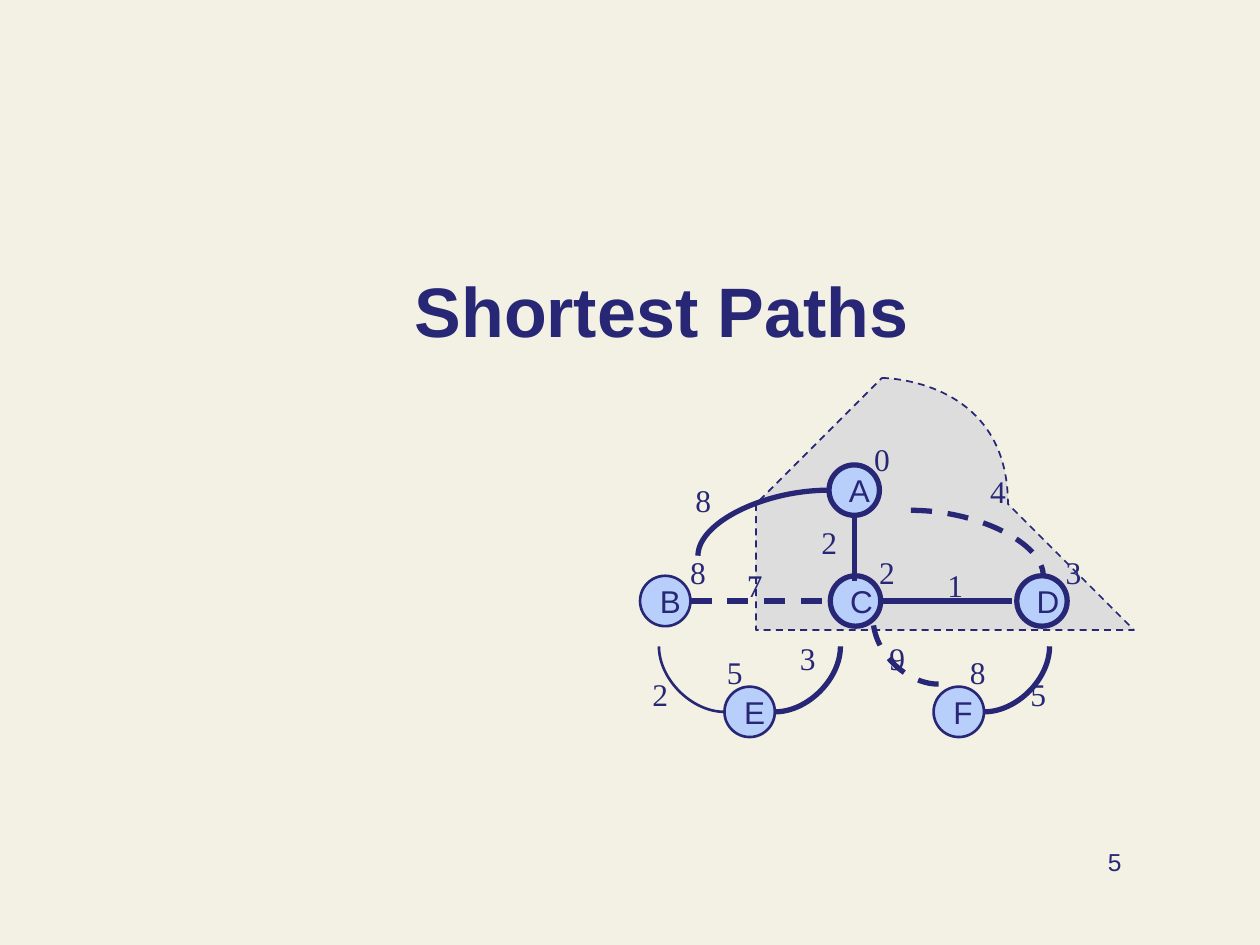
from lxml.etree import SubElement
from pptx import Presentation
from pptx.dml.color import RGBColor
from pptx.enum.dml import MSO_LINE
from pptx.enum.shapes import MSO_CONNECTOR, MSO_SHAPE
from pptx.enum.text import MSO_ANCHOR, PP_ALIGN
from pptx.oxml.ns import qn
from pptx.util import Inches, Pt

INK = "272776"
PAPER = "F3F1E4"
NODE_FILL = "B8CFFB"
CLOUD_FILL = "DDDDDD"
NODE_SIZE = 0.4
LABEL_WIDTH, LABEL_HEIGHT = 0.33, 0.4
THICK, THIN = 3, 1.5

CLOUD = [
    (7, 3.46),
    (7.3, 3.45), (7.88, 3.42), (8.16, 3.68),
    (8.44, 3.93), (8.79, 4.79), (8.68, 5.01),
    (8.56, 5.23), (7.81, 4.96), (7.47, 4.98),
    (7.13, 5), (6.84, 5.2), (6.66, 5.12),
    (6.47, 5.05), (6.4, 4.77), (6.34, 4.54),
    (6.29, 4.3), (6.22, 3.89), (6.33, 3.7),
    (6.44, 3.52), (6.7, 3.46), (7, 3.46),
]
NODES = [
    ("C", 6.59, 4.57, THICK),
    ("B", 5.08, 4.57, THIN),
    ("A", 6.58, 3.69, THICK),
    ("E", 5.75, 5.45, THIN),
    ("D", 8.07, 4.57, THICK),
    ("F", 7.41, 5.45, THIN),
]
CURVED_EDGES = [
    ((6.58, 3.89), (5.54, 4.41), THICK, False),
    ((5.75, 5.65), (5.23, 5.13), THIN, False),
    ((6.15, 5.65), (6.67, 5.13), THICK, False),
    ((7.81, 5.65), (8.33, 5.13), THICK, False),
    ((7.23, 4.05), (8.28, 4.57), THICK, True),
    ((7.45, 5.43), (6.93, 4.91), THICK, True),
]
STRAIGHT_EDGES = [
    ((6.78, 4.09), (6.78, 4.61), THICK, False),
    ((5.48, 4.77), (6.53, 4.77), THICK, True),
    ((6.99, 4.77), (8.03, 4.77), THICK, False),
]
DISTANCES = [
    ("0", 6.84, 3.44), ("3", 8.36, 4.34), ("2", 6.88, 4.34),
    ("8", 5.38, 4.34), ("5", 5.67, 5.13), ("8", 7.6, 5.13),
]
WEIGHTS = [
    ("4", 7.76, 3.7), ("8", 5.42, 3.77), ("7", 5.83, 4.44),
    ("1", 7.42, 4.44), ("2", 5.08, 5.31), ("5", 8.08, 5.31),
    ("2", 6.42, 4.1), ("3", 6.25, 5.02), ("9", 6.96, 5.02),
]


def color(value):
    return RGBColor.from_string(value)


def write_text(shape, text, size, font="Arial", align=PP_ALIGN.LEFT,
               anchor=MSO_ANCHOR.TOP, bold=False):
    frame = shape.text_frame
    frame.text = text
    frame.word_wrap = True
    frame.vertical_anchor = anchor
    para = frame.paragraphs[0]
    para.alignment = align
    span = para.runs[0]
    span.font.name = font
    span.font.size = Pt(size)
    span.font.bold = bold
    span.font.color.rgb = color(INK)


def style_line(line, width, dashed=False):
    line.color.rgb = color(INK)
    line.width = Pt(width)
    if dashed:
        line.dash_style = MSO_LINE.DASH


def style_shape(shape, fill, width, dashed=False):
    shape.shadow.inherit = False
    shape.fill.solid()
    shape.fill.fore_color.rgb = color(fill)
    style_line(shape.line, width, dashed)


def add_title(page, text):
    title = page.shapes.title
    title.left, title.top = Inches(1), Inches(1.83)
    title.width, title.height = Inches(8.5), Inches(1.25)
    write_text(title, text, 40, align=PP_ALIGN.CENTER,
               anchor=MSO_ANCHOR.MIDDLE, bold=True)


def add_cloud(shapes):
    builder = shapes.build_freeform(*CLOUD[0], scale=Inches(1))
    builder.add_line_segments(CLOUD[1:], close=True)
    cloud = builder.convert_to_shape()
    outline = next(cloud.element.iter(qn("a:path")))
    segments = outline.findall(qn("a:lnTo"))
    close = outline.find(qn("a:close"))
    for start in range(0, len(segments), 3):
        curve = SubElement(outline, qn("a:cubicBezTo"))
        for segment in segments[start:start + 3]:
            curve.append(segment[0])
            outline.remove(segment)
    outline.append(close)
    style_shape(cloud, CLOUD_FILL, 1, dashed=True)


def add_node(shapes, name, left, top, width):
    node = shapes.add_shape(MSO_SHAPE.OVAL, Inches(left), Inches(top),
                            Inches(NODE_SIZE), Inches(NODE_SIZE))
    style_shape(node, NODE_FILL, width)
    write_text(node, name, 18, anchor=MSO_ANCHOR.MIDDLE)


def add_edge(shapes, kind, start, end, width, dashed):
    edge = shapes.add_connector(kind, *map(Inches, start + end))
    style_line(edge.line, width, dashed)
    properties = edge.element.spPr
    SubElement(properties, qn("a:effectLst"))
    if kind == MSO_CONNECTOR.CURVE:
        properties.find(qn("a:prstGeom")).set("prst", "curvedConnector2")


def add_label(shapes, text, left, top):
    box = shapes.add_textbox(Inches(left), Inches(top),
                             Inches(LABEL_WIDTH), Inches(LABEL_HEIGHT))
    write_text(box, text, 18, font="Times New Roman")


def add_page_number(page, text):
    box = page.shapes.add_textbox(Inches(7.17), Inches(6.67),
                                  Inches(1.83), Inches(0.5))
    write_text(box, text, 14, align=PP_ALIGN.RIGHT)


def main():
    deck = Presentation()
    deck.slide_width, deck.slide_height = Inches(10), Inches(7.5)
    page = deck.slides.add_slide(deck.slide_layouts[0])
    page.background.fill.solid()
    page.background.fill.fore_color.rgb = color(PAPER)
    subtitle = page.placeholders[1].element
    subtitle.getparent().remove(subtitle)

    add_title(page, "Shortest Paths")
    graph = page.shapes.add_group_shape().shapes
    add_cloud(graph)
    for node in NODES:
        add_node(graph, *node)
    for edge in CURVED_EDGES:
        add_edge(graph, MSO_CONNECTOR.CURVE, *edge)
    for edge in STRAIGHT_EDGES:
        add_edge(graph, MSO_CONNECTOR.STRAIGHT, *edge)
    for label in DISTANCES + WEIGHTS:
        add_label(graph, *label)
    add_page_number(page, "5")
    deck.save("out.pptx")


if __name__ == "__main__":
    main()
